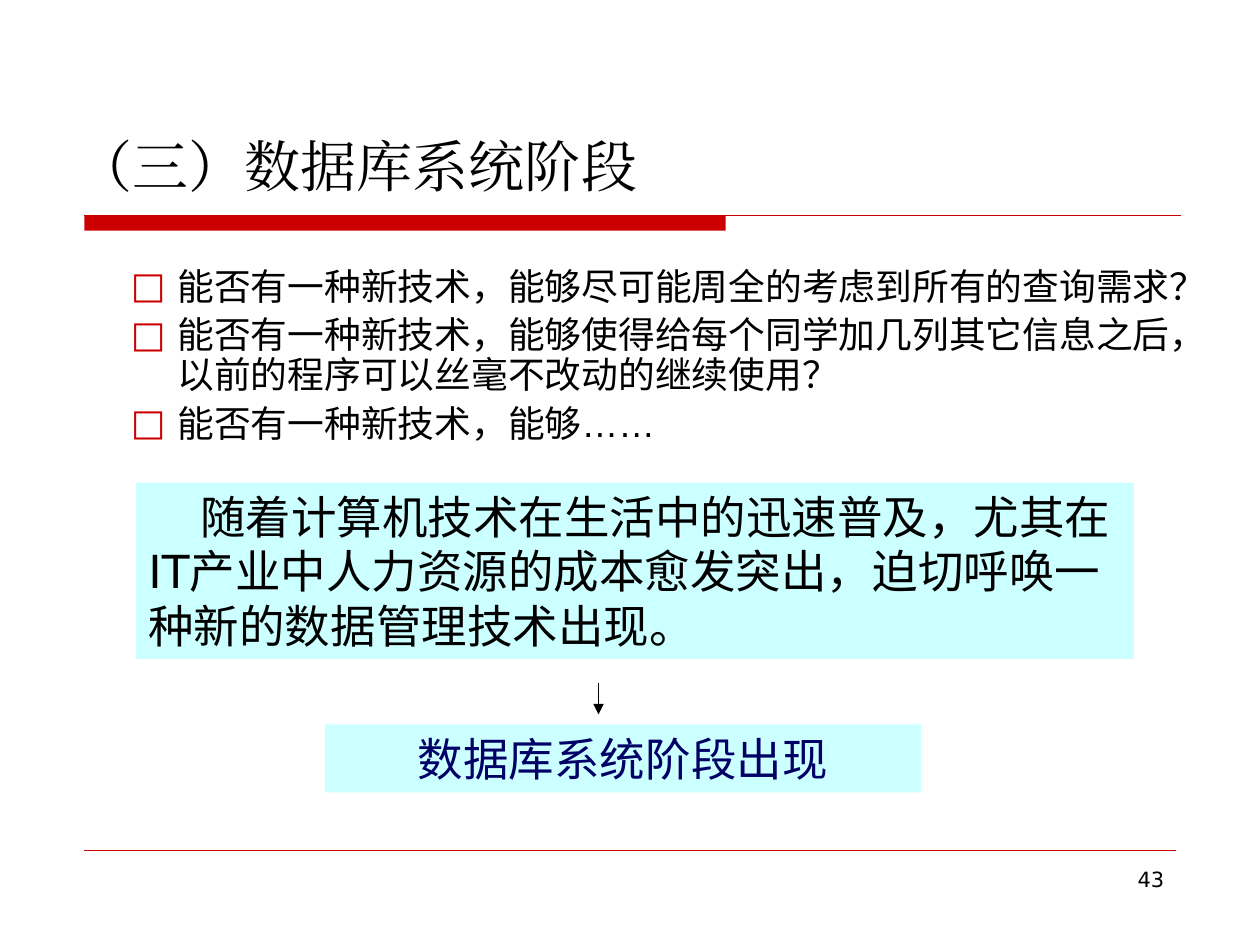
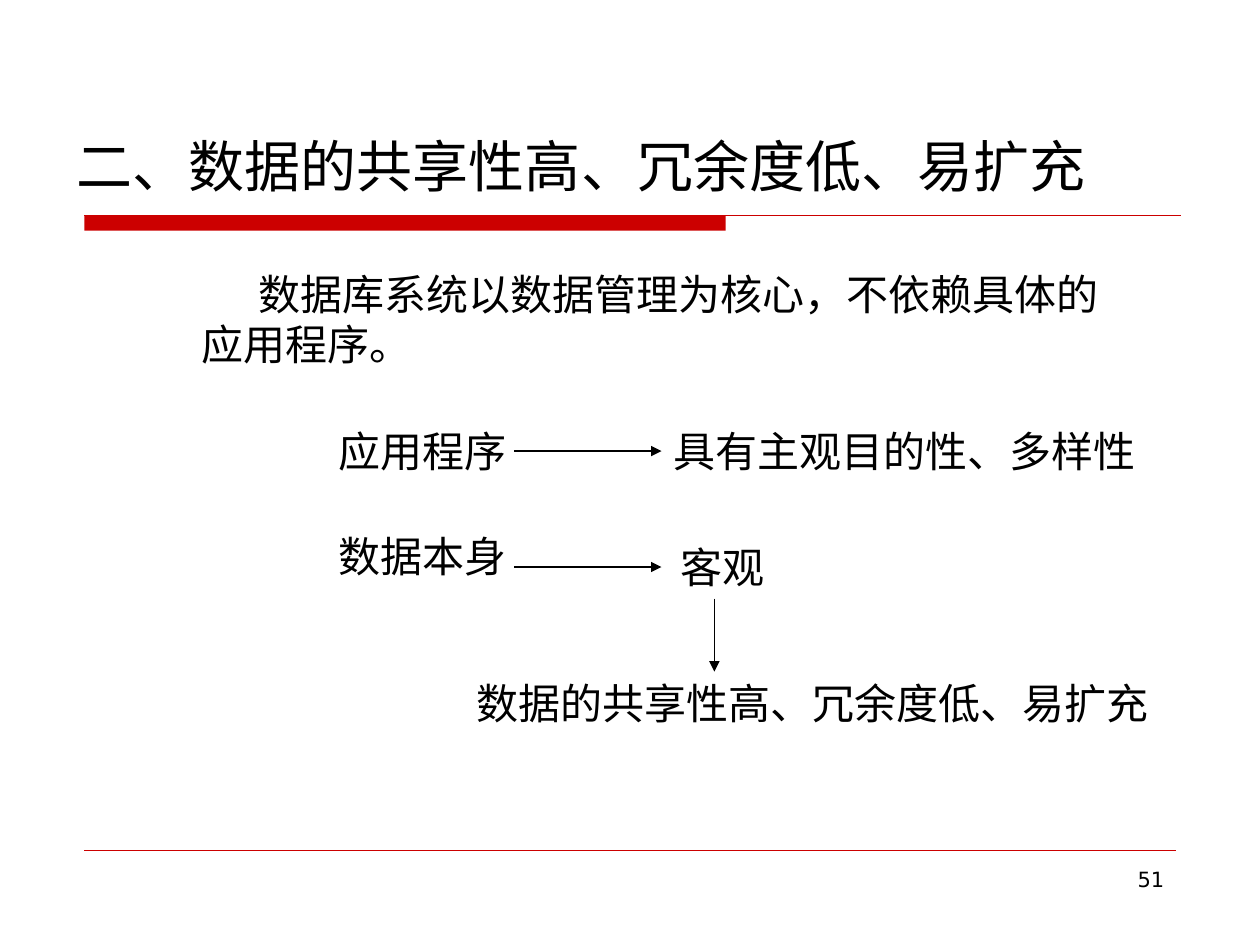
from lxml import etree
from pptx import Presentation
from pptx.dml.color import RGBColor
from pptx.enum import shapes, text
from pptx.oxml import ns
from pptx.util import Inches, Pt

RED = RGBColor(0xCC, 0x00, 0x00)
BLACK = RGBColor(0x00, 0x00, 0x00)
NAVY = RGBColor(0x00, 0x00, 0x66)
CYAN = RGBColor(0xCC, 0xFF, 0xFF)
SANS = "DejaVu Sans"
LEFT, MID, RIGHT = text.PP_ALIGN.LEFT, text.PP_ALIGN.CENTER, text.PP_ALIGN.RIGHT


def child(node, tag, **attrs):
    return etree.SubElement(node, ns.qn(tag), attrs)


def apply(target, style):
    for key, value in style.items():
        setattr(target, key, value)


def place(shape, box):
    apply(shape, dict(zip(("left", "top", "width", "height"), map(Inches, box))))


def add_run(para, words, size, font=SANS, color=BLACK):
    run = para.add_run()
    run.text = words
    apply(run.font, {"size": Pt(size), "name": font})
    run.font.color.rgb = color
    child(run.font._element, "a:ea", typeface=font)


def write(shape, words, size, align=LEFT, indent=0, wrap=True, font=SANS, color=BLACK):
    frame = shape.text_frame
    apply(frame, {"word_wrap": wrap, "auto_size": text.MSO_AUTO_SIZE.NONE,
                  "vertical_anchor": text.MSO_ANCHOR.TOP})
    para = frame.paragraphs[0]
    para.alignment = align
    if indent:
        para._p.get_or_add_pPr().set("indent", str(Inches(indent)))
    add_run(para, words, size, font, color)


def add_text(slide, box, words, size, **style):
    shape = slide.shapes.add_textbox(*map(Inches, box))
    write(shape, words, size, **style)
    return shape


def add_rect(slide, box, fill):
    shape = slide.shapes.add_shape(shapes.MSO_SHAPE.RECTANGLE, *map(Inches, box))
    shape.shadow.inherit = False
    shape.fill.solid()
    shape.fill.fore_color.rgb = fill
    shape.line.fill.background()
    return shape


def add_line(slide, start, end, color=BLACK, width=0.75, arrow=False):
    line = slide.shapes.add_connector(
        shapes.MSO_CONNECTOR.STRAIGHT, *map(Inches, start + end))
    line.line.color.rgb = color
    line.line.width = Pt(width)
    if arrow:
        child(line.line._get_or_add_ln(), "a:tailEnd", type="triangle")
    child(line._element.spPr, "a:effectLst")
    return line


def add_page(deck, title, number, font=SANS):
    slide = deck.slides.add_slide(deck.slide_layouts[5])
    add_rect(slide, (0.67, 1.71, 5.09, 0.12), RED)
    add_line(slide, (0.67, 1.71), (9.37, 1.71), RED)
    add_line(slide, (0.67, 6.75), (9.33, 6.75), RED, 0.25)
    add_text(slide, (7.17, 6.83, 2.17, 0.52), number, 12, align=RIGHT)
    place(slide.shapes.title, (0.51, 0.99, 8.5, 0.64))
    write(slide.shapes.title, title, 32, font=font)
    return slide


def add_list(slide, box, items):
    frame = slide.shapes.add_textbox(*map(Inches, box)).text_frame
    frame.word_wrap = True
    for i, parts in enumerate(items):
        para = frame.add_paragraph() if i else frame.paragraphs[0]
        apply(para, {"line_spacing": 0.9, "space_before": Pt(5.2 if i else 0)})
        props = para._p.get_or_add_pPr()
        props.set("marL", str(Inches(0.48)))
        props.set("indent", str(Inches(-0.37)))
        child(child(props, "a:buClr"), "a:srgbClr", val=str(RED))
        child(props, "a:buFont", typeface=SANS)
        child(props, "a:buChar", char="□")
        for words, font in parts:
            add_run(para, words, 21, font)


def add_result(slide, box):
    x, y, w, h = box
    add_line(slide, (x + 2.17, y), (x + 2.17, y + 0.25), arrow=True)
    label = add_rect(slide, (x, y + 0.33, w, h - 0.33), CYAN)
    write(label, "数据库系统阶段出现", 26, align=MID, color=NAVY)


def add_flow(slide, box):
    x, y, w, h = box
    style = {"size": 24, "wrap": False}
    add_text(slide, (x, y, 1.53, 0.5), "应用程序", **style)
    add_text(slide, (x, y + 0.83, 1.53, 0.5), "数据本身", **style)
    trait = add_text(slide, (x + 2.66, y, 3.86, 0.5), "具有主观目的性、多样性", **style)
    add_text(slide, (x + 2.71, y + 0.92, 0.86, 0.5), "客观", **style)
    add_text(slide, (x + 1.01, y + h - 0.5, w - 1.01, 0.5),
             "数据的共享性高、冗余度低、易扩充", indent=0.08, **style)
    start, end = x + 1.49, x + 2.66
    upper = add_line(slide, (start, y + 0.25), (end, y + 0.25), arrow=True)
    upper.end_connect(trait, 1)
    add_line(slide, (start, y + 1.17), (end, y + 1.17), arrow=True)
    add_line(slide, (x + 3.08, y + 1.42), (x + 3.08, y + 2), arrow=True)


def add_stage(deck):
    slide = add_page(deck, "（三）数据库系统阶段", "43", "Times New Roman")
    add_list(slide, (0.83, 2.08, 8.92, 1.75), [
        [("能否有一种新技术，能够尽可能周全的考虑到所有的查询需求？", SANS)],
        [("能否有一种新技术，能够使得给每个同学加几列其它信息之后，"
          "以前的程序可以丝毫不改动的继续使用？", SANS)],
        [("能否有一种新技术，能够", SANS), ("……", "Arial")],
    ])
    need = add_rect(slide, (1.08, 3.83, 7.92, 1.4), CYAN)
    write(need, "随着计算机技术在生活中的迅速普及，尤其在IT产业中人力资源的成本愈发突出，"
          "迫切呼唤一种新的数据管理技术出现。", 26, indent=0.41)
    add_result(slide, (2.58, 5.42, 4.73, 0.87))


def add_share(deck):
    slide = add_page(deck, "二、数据的共享性高、冗余度低、易扩充", "51")
    add_text(slide, (1.5, 2.08, 7.58, 0.9),
             "数据库系统以数据管理为核心，不依赖具体的应用程序。", 24, indent=0.45)
    add_flow(slide, (2.59, 3.33, 6.63, 2.5))


def main():
    deck = Presentation()
    apply(deck, {"slide_width": Inches(10), "slide_height": Inches(7.5)})
    add_stage(deck)
    add_share(deck)
    deck.save("out.pptx")


if __name__ == "__main__":
    main()
